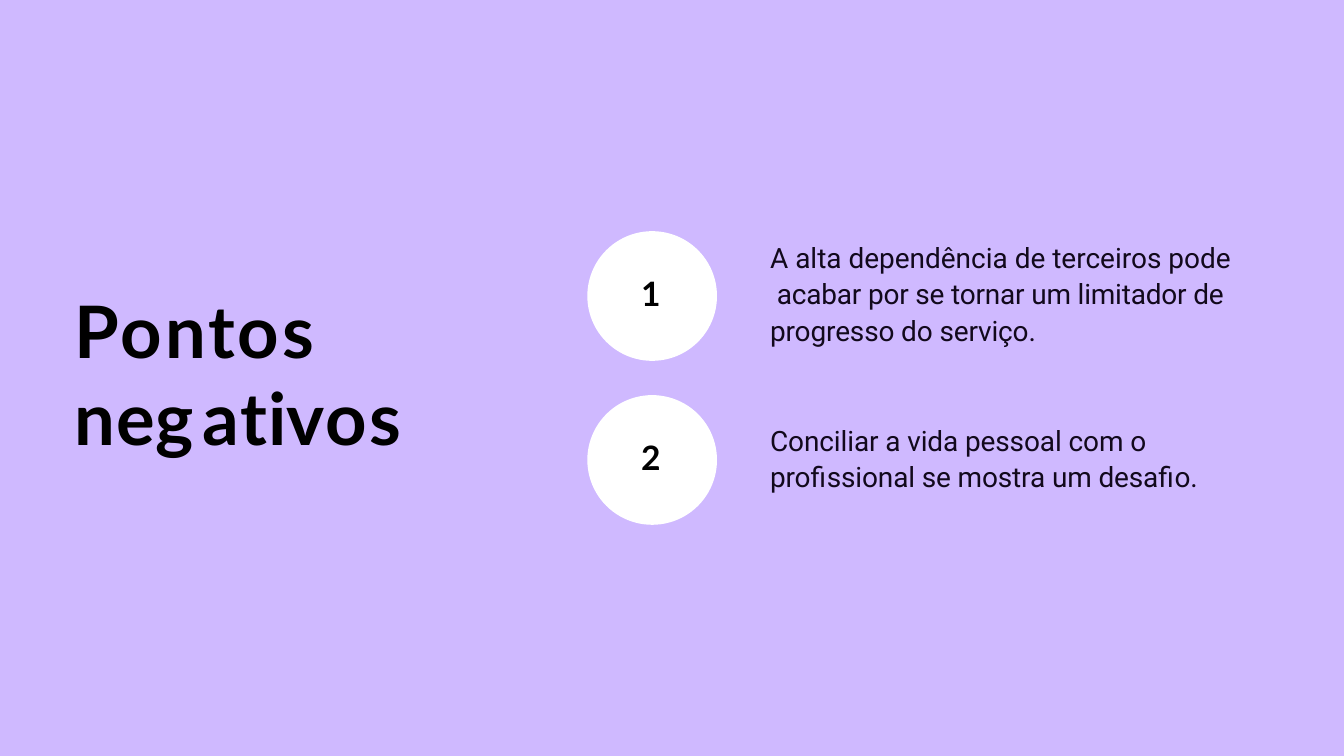
"""Build the 'Pontos negativos' slide: a title beside two numbered points."""
from typing import NamedTuple

from pptx import Presentation
from pptx.dml.color import RGBColor
from pptx.enum.shapes import MSO_SHAPE
from pptx.util import Inches, Pt

OVAL = MSO_SHAPE.OVAL
CELL = Inches(0.1)
COLUMNS, ROWS = 200, 112.5
COLORS = {"background": "CFB9FF", "disc": "FFFFFF", "heading": "000000", "body": "12091C"}

DISC_COLUMN, DISC_ROW, DISC_SIZE, DISC_STEP = 87.4, 34.4, 19.3, 24.4
NUMBER_COLUMN, NUMBER_OFFSET = 95.4, 6.1


class Area(NamedTuple):
    column: float
    row: float
    columns: float
    rows: float


class Style(NamedTuple):
    font: str
    size: float
    color: str
    bold: bool


class Span(NamedTuple):
    text: str
    spacing: float


class Point(NamedTuple):
    area: Area
    inset: float
    paragraphs: list[list[Span]]
    line_spacing: float | None = None
    gap: float = 0


TITLE_STYLE = Style("Lato", 77.5, "heading", True)
NUMBER_STYLE = Style("Lato", 36, "heading", True)
BODY_STYLE = Style("Roboto", 30, "body", False)

TITLE = [
    Span("Pontos\v", 3.2), Span("n", 1.2), Span("e", -3), Span("g", 9.9), Span("a", 1.6),
    Span("t", 0.7), Span("i", -1.4), Span("v", 1.1), Span("o", 2.7), Span("s", 4.7),
]
POINTS = [
    Point(
        Area(114.6, 35.3, 70, 16.5), 0.01,
        [[
            Span("A alta dependência de terceiros pode\v", 0),
            Span(" acabar por se tornar um limitador de\v", -0.2),
            Span("progresso do serviço.", -0.15),
        ]],
        line_spacing=1.08,
    ),
    Point(
        Area(114.6, 62.4, 64.7, 11.1), 0.06,
        [
            [Span("Conciliar a vida pessoal com o", -0.1)],
            [Span("profissional se mostra um desafio.", -0.15)],
        ],
        gap=3,
    ),
]


def cells(area: Area) -> list[int]:
    return [round(length * CELL) for length in area]


def add_disc(page, area: Area) -> None:
    disc = page.shapes.add_shape(OVAL, *cells(area))
    disc.shadow.inherit = False
    disc.fill.solid()
    disc.fill.fore_color.rgb = RGBColor.from_string(COLORS["disc"])
    disc.line.fill.background()


def add_span(para, span: Span, style: Style) -> None:
    run = para.add_run()
    run.text = span.text.rstrip("\v")
    run.font.name = style.font
    run.font.size = Pt(style.size)
    run.font.bold = style.bold
    run.font.color.rgb = RGBColor.from_string(COLORS[style.color])
    run.font._element.set("spc", str(round(span.spacing * 100)))
    if span.text.endswith("\v"):
        para.add_line_break()


def add_text(page, point: Point, style: Style) -> None:
    frame = page.shapes.add_textbox(*cells(point.area)).text_frame
    frame.word_wrap = True
    frame.margin_left = frame.margin_right = frame.margin_bottom = 0
    frame.margin_top = Inches(point.inset)
    for index, spans in enumerate(point.paragraphs):
        para = frame.add_paragraph() if index else frame.paragraphs[0]
        if index:
            para.space_before = Pt(point.gap)
        if point.line_spacing:
            para.line_spacing = point.line_spacing
        for span in spans:
            add_span(para, span, style)


def main() -> None:
    deck = Presentation()
    deck.slide_width, deck.slide_height = round(COLUMNS * CELL), round(ROWS * CELL)
    page = deck.slides.add_slide(deck.slide_layouts[6])
    page.background.fill.solid()
    page.background.fill.fore_color.rgb = RGBColor.from_string(COLORS["background"])

    for index, point in enumerate(POINTS):
        row = DISC_ROW + index * DISC_STEP
        add_disc(page, Area(DISC_COLUMN, row, DISC_SIZE, DISC_SIZE))
        number_area = Area(NUMBER_COLUMN, row + NUMBER_OFFSET, 3.3, 6.3)
        add_text(page, Point(number_area, 0.01, [[Span(str(index + 1), 0.5)]]), NUMBER_STYLE)
        add_text(page, point, BODY_STYLE)
    add_text(page, Point(Area(11.1, 42.4, 50.4, 26.2), 0.02, [TITLE]), TITLE_STYLE)

    deck.save("out.pptx")


if __name__ == "__main__":
    main()
